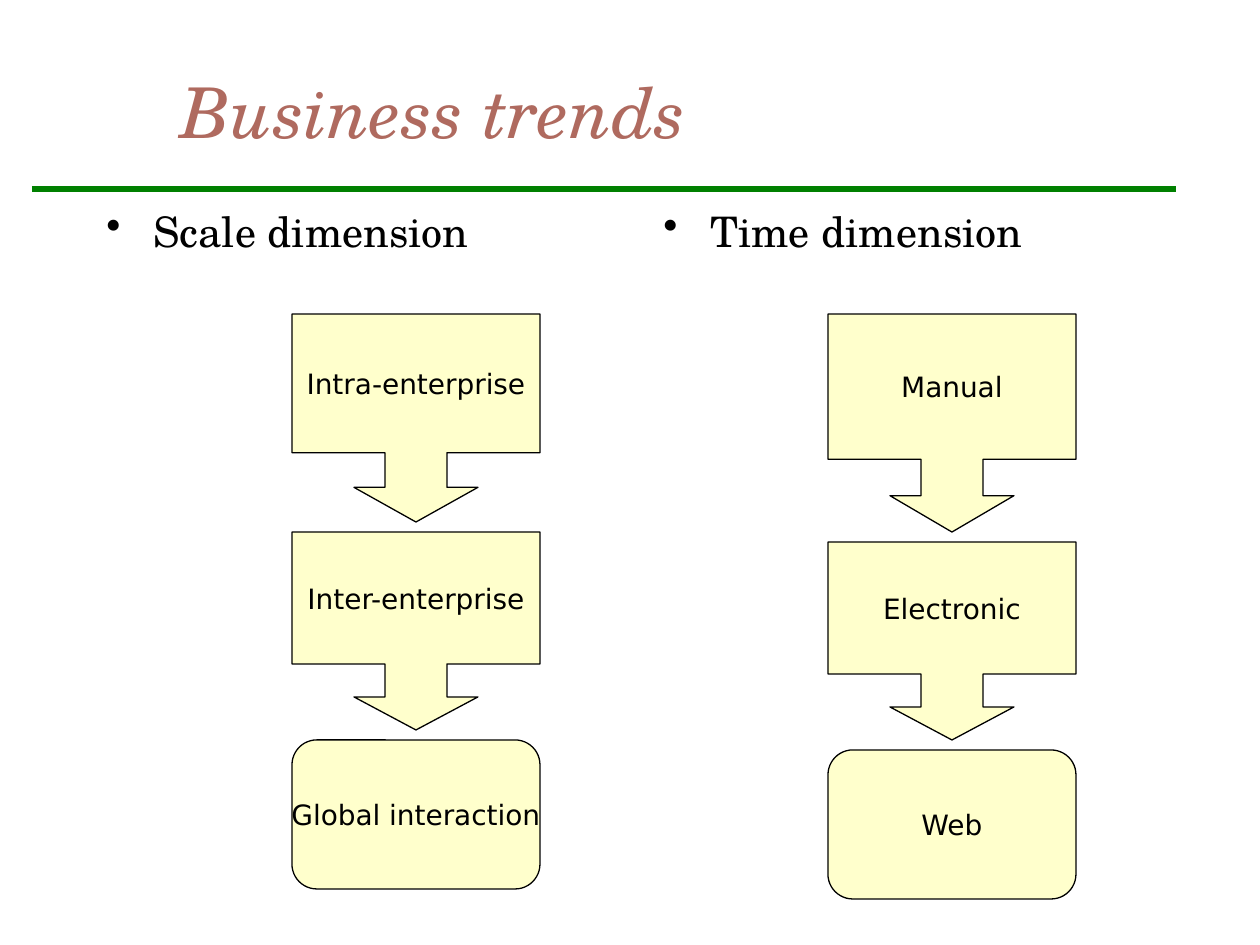
from lxml import etree
from pptx import Presentation
from pptx.dml.color import RGBColor
from pptx.enum.shapes import MSO_CONNECTOR, MSO_SHAPE
from pptx.enum.text import MSO_ANCHOR, PP_ALIGN
from pptx.oxml.ns import qn
from pptx.util import Emu, Pt

CALLOUT = MSO_SHAPE.DOWN_ARROW_CALLOUT
ROUNDED = MSO_SHAPE.FLOWCHART_ALTERNATE_PROCESS
STRAIGHT = MSO_CONNECTOR.STRAIGHT
TOP, MIDDLE = MSO_ANCHOR.TOP, MSO_ANCHOR.MIDDLE
LEFT, CENTER = PP_ALIGN.LEFT, PP_ALIGN.CENTER

# Content: heading and steps (label, shape, height) of each column
TITLE = "Business trends"
COLUMNS = [
    {"heading": "Scale dimension", "heading_left": 94, "steps_left": 292,
     "steps": [("Intra-enterprise", CALLOUT, 208),
               ("Inter-enterprise", CALLOUT, 198),
               ("Global interaction", ROUNDED, 149)]},
    {"heading": "Time dimension", "heading_left": 651, "steps_left": 828,
     "steps": [("Manual", CALLOUT, 218),
               ("Electronic", CALLOUT, 198),
               ("Web", ROUNDED, 149)]},
]

# Format
COLORS = {"title": "AF6A5F", "rule": "008000", "step": "FFFFCC", "ink": "000000"}
SERIF, SANS = "TeX Gyre Schola", "DejaVu Sans"
TITLE_FONT = {"name": SERIF, "size": Pt(40), "italic": True}
HEADING_FONT = {"name": SERIF, "size": Pt(24)}
STEP_FONT = {"name": SANS, "size": Pt(16)}

# Layout in px
PX_PER_INCH = 126
STEP_TOP, STEP_WIDTH, STEP_GAP = 314, 248, 10
HEADING_TOP, HEADING_WIDTH, HEADING_HEIGHT = 199, 534, 662
BULLET_INDENT = 47


def px(length):
    return Emu(round(length * 914400 / PX_PER_INCH))


def color(name):
    return RGBColor.from_string(COLORS[name])


def write(shape, text, font, ink, anchor, align, wrap):
    frame = shape.text_frame
    frame.word_wrap = wrap
    frame.vertical_anchor = anchor
    para = frame.paragraphs[0]
    para.alignment = align
    span = para.add_run()
    span.text = text
    for key, value in font.items():
        setattr(span.font, key, value)
    span.font.color.rgb = color(ink)
    return para


def add_bullet(para):
    properties = para._p.get_or_add_pPr()
    properties.set("marL", str(px(BULLET_INDENT)))
    properties.set("indent", str(-px(BULLET_INDENT)))
    etree.SubElement(properties, qn("a:buChar")).set("char", "•")


def add_text(page, left, top, width, height, *style):
    box = page.shapes.add_textbox(px(left), px(top), px(width), px(height))
    return write(box, *style, True)


def add_step(page, left, top, label, kind, height):
    shape = page.shapes.add_shape(kind, px(left), px(top), px(STEP_WIDTH), px(height))
    shape.shadow.inherit = False
    shape.fill.solid()
    shape.fill.fore_color.rgb = color("step")
    shape.line.color.rgb = color("ink")
    shape.line.width = Pt(0.75)
    if kind == CALLOUT:
        # Shaft is a quarter of the width, the head twice the shaft
        shaft = STEP_WIDTH / 4 / min(STEP_WIDTH, height)
        for index, value in enumerate((shaft, shaft, 1 / 6, 2 / 3)):
            shape.adjustments[index] = value
    write(shape, label, STEP_FONT, "ink", MIDDLE, CENTER, False)


def main():
    deck = Presentation()
    deck.slide_width, deck.slide_height = px(1260), px(945)
    page = deck.slides.add_slide(deck.slide_layouts[6])

    # Rule and title
    rule = page.shapes.add_connector(STRAIGHT, px(32), px(189), px(1176), px(189))
    rule.line.color.rgb = color("rule")
    rule.line.width = Pt(4)
    etree.SubElement(rule._element.spPr, qn("a:effectLst"))
    add_text(page, 168, 53, 1071, 116, TITLE, TITLE_FONT, "title", MIDDLE, LEFT)

    # Columns: bulleted heading above a chain of steps
    for column in COLUMNS:
        para = add_text(page, column["heading_left"], HEADING_TOP,
                        HEADING_WIDTH, HEADING_HEIGHT,
                        column["heading"], HEADING_FONT, "ink", TOP, LEFT)
        add_bullet(para)
        top = STEP_TOP
        for label, kind, height in column["steps"]:
            add_step(page, column["steps_left"], top, label, kind, height)
            top += height + STEP_GAP

    deck.save("out.pptx")


if __name__ == "__main__":
    main()
